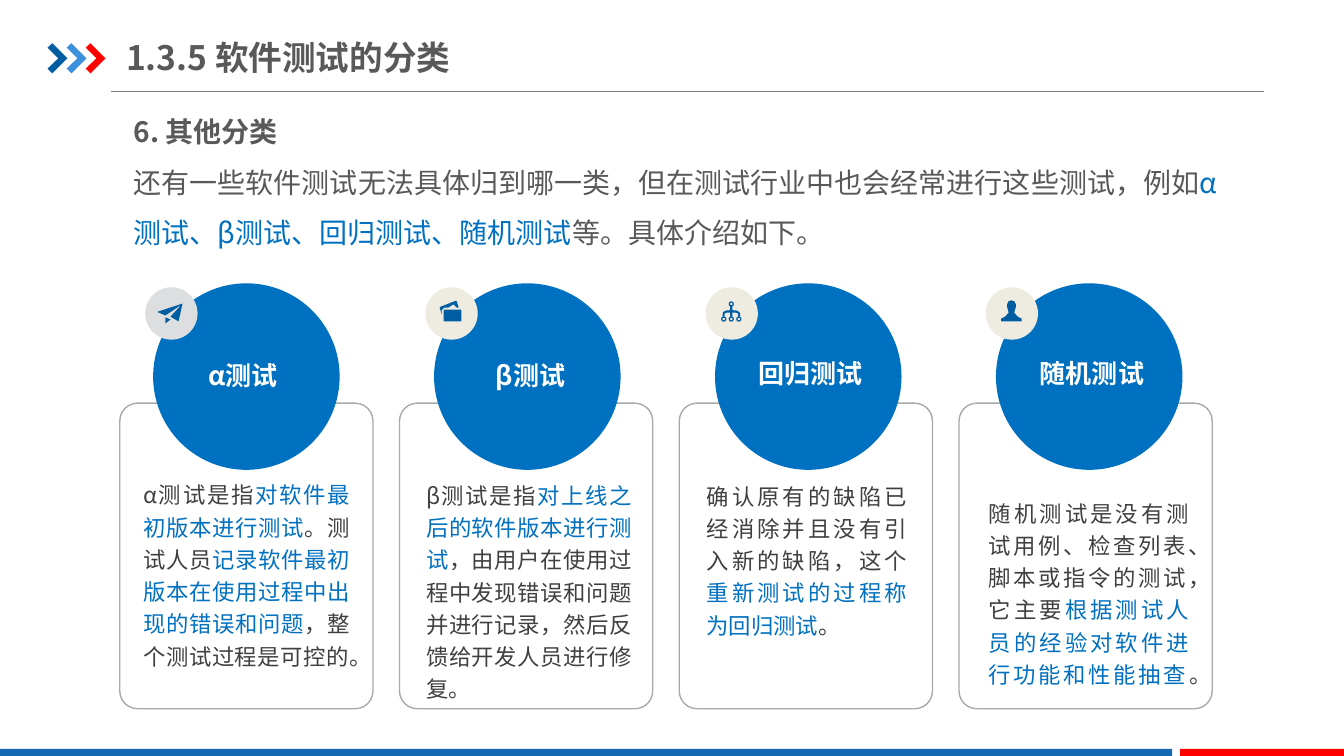
import pptx
import pptx.util
import pptx.dml.color
import pptx.enum.dml
import pptx.enum.lang
import pptx.enum.shapes
import pptx.enum.text
import pptx.oxml.ns
from lxml import etree

Cm = pptx.util.Cm
SHAPE = pptx.enum.shapes.MSO_SHAPE
ALIGN = pptx.enum.text.PP_ALIGN
ANCHOR = pptx.enum.text.MSO_ANCHOR
FACE = "Noto Sans CJK SC"
HUES = {
    "navy": "005DA2", "sky": "3992DB", "red": "FF0000", "bar": "1369B2",
    "blue": "0070C0", "gray": "595959", "dark": "404040", "white": "FFFFFF",
    "edge": "A6AAA9", "rule": "808080", "silver": "DCDEE0", "cream": "EEECE1",
}
CARDS = [
    {"label": "α测试", "mid": 6.12, "lead": 1.0, "badge": "silver", "box": (3.61, 12.57, 5.21, 3.73),
     "body": "α测试是指|对软件最初版本进行测试|。测试人员|记录软件最初版本在使用过程中出现的错误和问题|，整个测试过程是可控的。"},
    {"label": "β测试", "mid": 13.37, "lead": 1.0, "badge": "cream", "box": (10.74, 13.28, 5.18, 3.15),
     "body": "β测试是指|对上线之后的软件版本进行测试|，由用户在使用过程中发现错误和问题并进行记录，然后反馈给开发人员进行修复。"},
    {"label": "回归测试", "mid": 20.43, "lead": 0.9, "badge": "cream", "box": (17.81, 12.32, 5.05, 3.48),
     "body": "确认原有的缺陷已经消除并且没有引入新的缺陷，这个|重新测试的过程称为回归测试|。"},
    {"label": "随机测试", "mid": 27.52, "lead": 0.9, "badge": "cream", "box": (24.92, 13.36, 5.05, 3.07),
     "body": "随机测试是没有测试用例、检查列表、脚本或指令的测试，它主要|根据测试人员的经验对软件进行功能和性能抽查|。"},
]


def mirror(half):
    return half + [(130 - x, y) for x, y in reversed(half)]


CHEVRON = [(0, 11), (12, 0), (50, 38), (12, 76), (0, 64), (27, 38)]
PLANE = [
    [(51, 91), (64, 81), (51, 76)],
    [(94, 41), (30, 62), (51, 71), (91, 44), (64, 74), (84, 86)],
]
FOLDER = [
    [(84, 51), (79, 35), (76, 34), (36, 50), (41, 69), (41, 58), (48, 51),
     (58, 51), (71, 43), (79, 51)],
    [(48, 56), (89, 56), (91, 58), (91, 84), (89, 86), (48, 86), (46, 84), (46, 58)],
]
TREE = [mirror([(62, 47), (62, 56), (60, 58), (53, 58), (45, 62), (43, 66), (43, 74),
                (48, 74), (48, 66), (53, 64), (60, 64), (62, 63), (62, 74)])]
PERSON = [mirror([(65, 33), (72, 35), (76, 43), (76, 50), (74, 56), (72, 64),
                  (81, 74), (91, 79), (91, 86)])]
ICONS = [PLANE, FOLDER, TREE, PERSON]
RINGS = [(65, 42), (46, 80), (65, 80), (84, 80)]


def rgb(name):
    return pptx.dml.color.RGBColor.from_string(HUES[name])


def paint(shape, fill=None, line=None, width=1):
    shape.shadow.inherit = False
    if fill:
        shape.fill.solid()
        shape.fill.fore_color.rgb = rgb(fill)
    else:
        shape.fill.background()
    if line:
        shape.line.color.rgb = rgb(line)
        shape.line.width = pptx.util.Pt(width)
    else:
        shape.line.fill.background()


def form(slide, kind, box, **style):
    shape = slide.shapes.add_shape(kind, *map(Cm, box))
    paint(shape, **style)
    return shape


def trace(slide, points, left, top, fill):
    maker = slide.shapes.build_freeform(*points[0], scale=Cm(1) / 100)
    maker.add_line_segments(points[1:], close=True)
    paint(maker.convert_to_shape(Cm(left), Cm(top)), fill=fill)


def text(slide, box, paras, size=16, color="dark", heads=0, align=ALIGN.LEFT,
         anchor=ANCHOR.MIDDLE, lead=1.0, inset=(0, 0)):
    frame = slide.shapes.add_textbox(*map(Cm, box)).text_frame
    frame.word_wrap = True
    frame.vertical_anchor = anchor
    frame.margin_left = frame.margin_right = Cm(inset[0])
    frame.margin_top = frame.margin_bottom = Cm(inset[1])
    for row, words in enumerate(paras):
        para = frame.add_paragraph() if row else frame.paragraphs[0]
        para.alignment = align
        para.line_spacing = lead
        for turn, part in enumerate(words.split("|")):
            if not part:
                continue
            run = para.add_run()
            run.text = part
            font = run.font
            font.size = pptx.util.Pt(size)
            font.bold = row < heads
            font.name = FACE
            font.language_id = pptx.enum.lang.MSO_LANGUAGE_ID.SIMPLIFIED_CHINESE
            font.color.rgb = rgb("blue" if turn % 2 else color)
            east = etree.SubElement(run._r.get_or_add_rPr(), pptx.oxml.ns.qn("a:ea"))
            east.set("typeface", FACE)


def rule(slide, left, right, top):
    kind = pptx.enum.shapes.MSO_CONNECTOR.STRAIGHT
    line = slide.shapes.add_connector(kind, Cm(left), Cm(top), Cm(right), Cm(top))
    line.line.color.rgb = rgb("rule")
    line.line.width = pptx.util.Pt(0.75)
    etree.SubElement(line._element.spPr, pptx.oxml.ns.qn("a:effectLst"))


def header(slide):
    rule(slide, 2.79, 31.85, 2.31)
    for step, color in enumerate(("navy", "sky", "red")):
        trace(slide, CHEVRON, 1.2 + 0.48 * step, 1.09, color)
    text(slide, (3.18, 0.74, 10.82, 1.4), ["1.3.5 软件测试的分类"],
         size=24, color="gray", heads=1)


def footer(slide):
    form(slide, SHAPE.RECTANGLE, (0, 18.87, 29.54, 0.18), fill="bar")
    form(slide, SHAPE.RECTANGLE, (29.74, 18.87, 4.13, 0.18), fill="red")


def badge(slide, left, top, fill, icon):
    form(slide, SHAPE.OVAL, (left, top, 1.32, 1.32), fill=fill)
    for points in icon:
        trace(slide, points, left, top, "navy")
    if icon is TREE:
        for x, y in RINGS:
            spot = (left + x / 100 - 0.05, top + y / 100 - 0.05, 0.1, 0.1)
            form(slide, SHAPE.OVAL, spot, line="navy", width=0.9)


def card(slide, index, item):
    frame = form(slide, SHAPE.ROUNDED_RECTANGLE,
                 (3.02 + 7.05 * index, 10.16, 6.38, 7.7), line="edge")
    frame.adjustments[0] = 0.07
    form(slide, SHAPE.OVAL, (3.86 + 7.08 * index, 7.14, 4.7, 4.7), fill="blue")
    badge(slide, 3.66 + 7.06 * index, 7.24, item["badge"], ICONS[index])
    text(slide, (item["mid"] - 2.2, 8.66, 4.4, 1.6), [item["label"]], size=18.6,
         color="white", heads=1, align=ALIGN.CENTER, lead=item["lead"])
    text(slide, item["box"], [item["body"]], align=ALIGN.JUSTIFY, lead=1.2)


def main():
    deck = pptx.Presentation()
    deck.slide_width, deck.slide_height = Cm(33.87), Cm(19.05)
    slide = deck.slides.add_slide(deck.slide_layouts[6])
    header(slide)
    footer(slide)
    intro = [
        "6. 其他分类",
        "还有一些软件测试无法具体归到哪一类，但在测试行业中也会经常进行这些测试，例如"
        "|α测试、β测试、回归测试、随机测试|等。具体介绍如下。",
    ]
    text(slide, (3.12, 2.34, 27.94, 3.86), intro, size=20, color="gray", heads=1,
         anchor=ANCHOR.TOP, lead=1.5, inset=(0.25, 0.13))
    for index, item in enumerate(CARDS):
        card(slide, index, item)
    deck.save("out.pptx")


if __name__ == "__main__":
    main()
